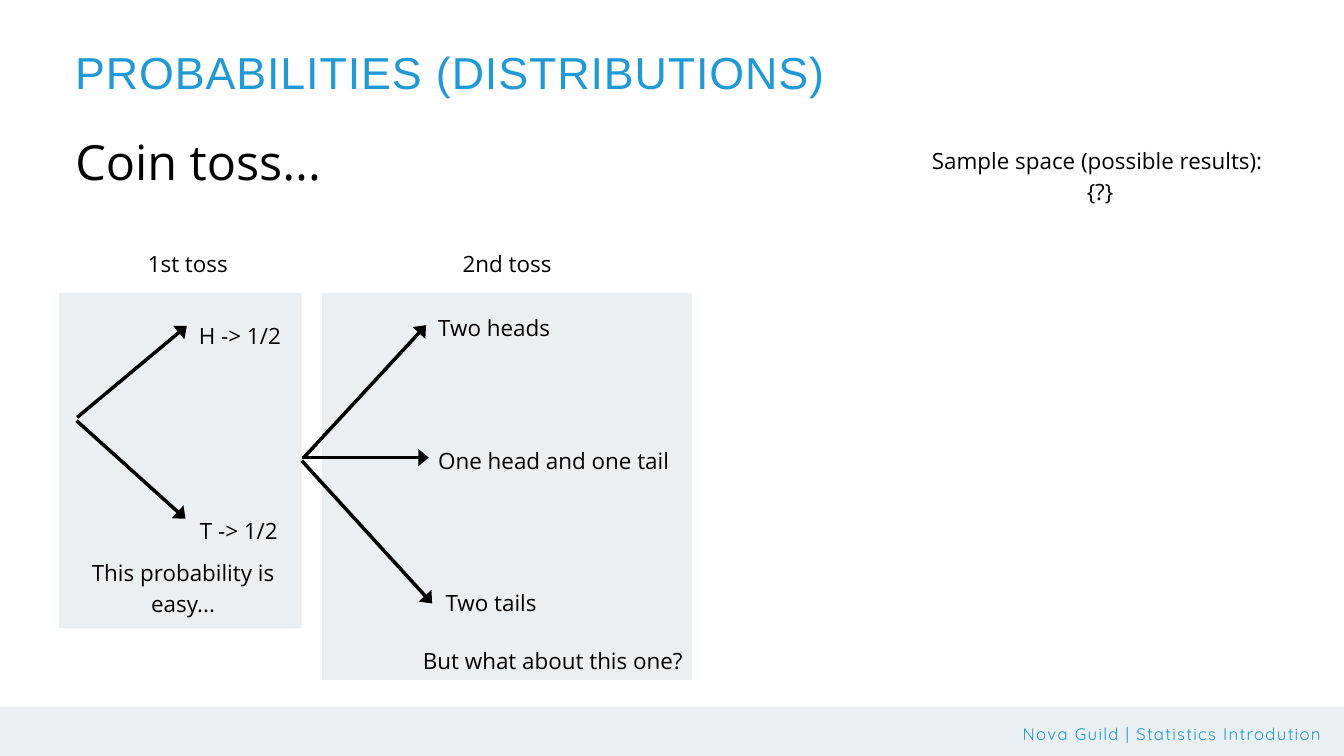
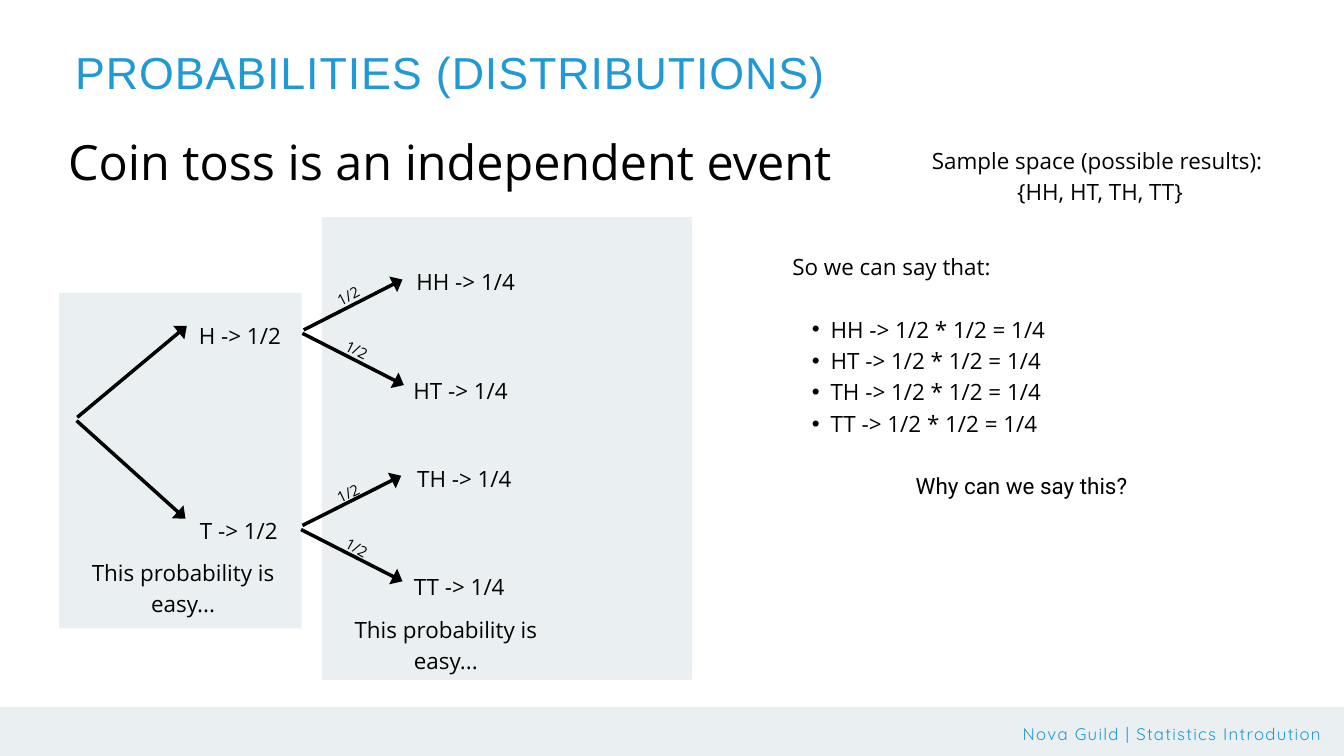
from lxml import etree
from pptx import Presentation, util as u
from pptx.dml.color import RGBColor
from pptx.enum import shapes, text
from pptx.oxml.ns import qn

hues = {"blue": "2199D4", "pale": "EAF0F1", "ink": "000000"}
sides = {"l": text.PP_ALIGN.LEFT, "c": text.PP_ALIGN.CENTER, "r": text.PP_ALIGN.RIGHT}
easy = "This probability is easy..."

deck = Presentation()
deck.slide_width, deck.slide_height = u.Inches(20), u.Inches(11.25)


def write(slide, at, lines, side="c", size=24, font="Open Sans", hue="ink", lead=33.6, space=0, turn=0):
    box = slide.shapes.add_textbox(*map(u.Inches, at))
    box.rotation = turn
    frame = box.text_frame
    frame.word_wrap = True
    frame.auto_size = text.MSO_AUTO_SIZE.SHAPE_TO_FIT_TEXT
    frame.margin_left = frame.margin_right = frame.margin_top = frame.margin_bottom = 0
    for i, line in enumerate(lines):
        para = frame.add_paragraph() if i else frame.paragraphs[0]
        para.alignment = sides[side]
        para.line_spacing = u.Pt(lead)
        run = para.add_run()
        run.text = line
        run.font.size = u.Pt(size)
        run.font.name = font
        run.font.color.rgb = RGBColor.from_string(hues[hue])
        if space:
            run.font._element.set("spc", str(space))
    return frame.paragraphs


def panel(slide, at):
    rect = slide.shapes.add_shape(shapes.MSO_SHAPE.RECTANGLE, *map(u.Inches, at))
    rect.shadow.inherit = False
    rect.fill.solid()
    rect.fill.fore_color.rgb = RGBColor.from_string(hues["pale"])
    rect.line.fill.background()
    return rect


pages = [
    {
        "head": ("Coin toss...", 1.12, 3.66),
        "space": "{?}",
        "top": 4.36,
        "arrows": [(4.49, 6.81, 6.38, 6.81), (4.52, 6.81, 6.34, 4.84), (4.49, 6.86, 6.43, 8.98)],
        "labels": [
            ("Two heads", 6.52, 4.61, 2.18, "l"),
            ("One head and one tail", 6.52, 6.58, 3.49, "l"),
            ("Two tails", 6.63, 8.7, 2.18, "l"),
            ("But what about this one?", 5.62, 9.57, 4.54, "r"),
            ("1st toss", 1.19, 3.66, 3.21, "c"),
            ("2nd toss", 4.79, 3.66, 5.51, "c"),
        ],
    },
    {
        "head": ("Coin toss is an independent event", 0, 13.39),
        "space": "{HH, HT, TH, TT}",
        "top": 3.23,
        "arrows": [
            (4.52, 4.91, 5.99, 4.16),
            (4.5, 4.96, 6.01, 5.73),
            (4.5, 7.82, 5.97, 7.08),
            (4.48, 7.88, 5.99, 8.65),
        ],
        "labels": [
            ("HH -> 1/4", 6.13, 3.93, 1.6, "c"),
            ("HT -> 1/4", 6.13, 5.54, 1.45, "c"),
            ("TH -> 1/4", 6.11, 6.85, 1.6, "c"),
            ("TT -> 1/4", 6.11, 8.46, 1.45, "c"),
            (easy, 5.03, 9.1, 3.21, "c"),
        ],
    },
]
first = [(1.15, 6.21, 2.78, 4.85), (1.14, 6.26, 2.76, 7.72)]
common = [
    ("H -> 1/2", 2.77, 4.72, 1.6, "c"),
    ("T -> 1/2", 2.83, 7.63, 1.45, "c"),
    (easy, 1.12, 8.25, 3.21, "c"),
]

for page in pages:
    slide = deck.slides.add_slide(deck.slide_layouts[6])
    panel(slide, (-0.27, 10.52, 20.56, 0.99))
    write(slide, (7.35, 10.72, 12.31, 0.32), ["Nova Guild | Statistics Introdution"],
          "r", 18, "Quicksand", "blue", 25.2, 140)
    left = panel(slide, (0.88, 4.36, 3.61, 4.99))
    panel(slide, (4.79, page["top"], 5.51, 10.12 - page["top"]))

    for ends in first + page["arrows"]:
        line = slide.shapes.add_connector(shapes.MSO_CONNECTOR.STRAIGHT, *map(u.Inches, ends))
        line.line.color.rgb = RGBColor.from_string(hues["ink"])
        line.line.width = u.Pt(3.75)
        etree.SubElement(line.line._get_or_add_ln(), qn("a:tailEnd"), type="triangle", w="lg", len="med")
        etree.SubElement(line._element.spPr, qn("a:effectLst"))
        if ends[:2] == (4.49, 6.86):
            line.begin_connect(left, 3)

    write(slide, (1.12, 0.67, 12.97, 0.79), ["PROBABILITIES (DISTRIBUTIONS)"],
          "l", 48, "Arial", "blue", 57.6, 100)
    head, x, wide = page["head"]
    write(slide, (x, 1.82, wide, 0.97), [head], size=52, lead=72.8)
    write(slide, (12.96, 2.12, 6.82, 0.89), ["Sample space (possible results): ", page["space"]])
    for words, x, y, wide, side in common + page["labels"]:
        high = 0.89 if words == easy else 0.43
        write(slide, (x, y, wide, high), [words], side)

sums = [f"{pair} -> 1/2 * 1/2 = 1/4" for pair in ("HH", "HT", "TH", "TT")]
paras = write(slide, (11.79, 3.7, 6.82, 3.64),
              ["So we can say that:", *sums, "Why can we say this?"], "l")
for para in paras[1:-1]:
    para.level = 1
    props = para._p.get_or_add_pPr()
    props.set("marL", str(u.Inches(0.57)))
    props.set("indent", str(u.Inches(-0.28)))
    etree.SubElement(props, qn("a:buFont"), typeface="Arial")
    etree.SubElement(props, qn("a:buChar"), char="•")
paras[1].space_before = paras[-1].space_before = u.Pt(33.6)
paras[-1].alignment = sides["c"]
paras[-1].runs[0].font.name = "Roboto"

for x, y, turn in [(4.6, 7.98, 28.4), (4.44, 7.16, 334.4), (4.6, 5.03, 26.3), (4.44, 4.23, 332.5)]:
    write(slide, (x, y, 1.45, 0.29), ["1/2"], size=16, lead=22.4, turn=turn)

deck.save("out.pptx")
